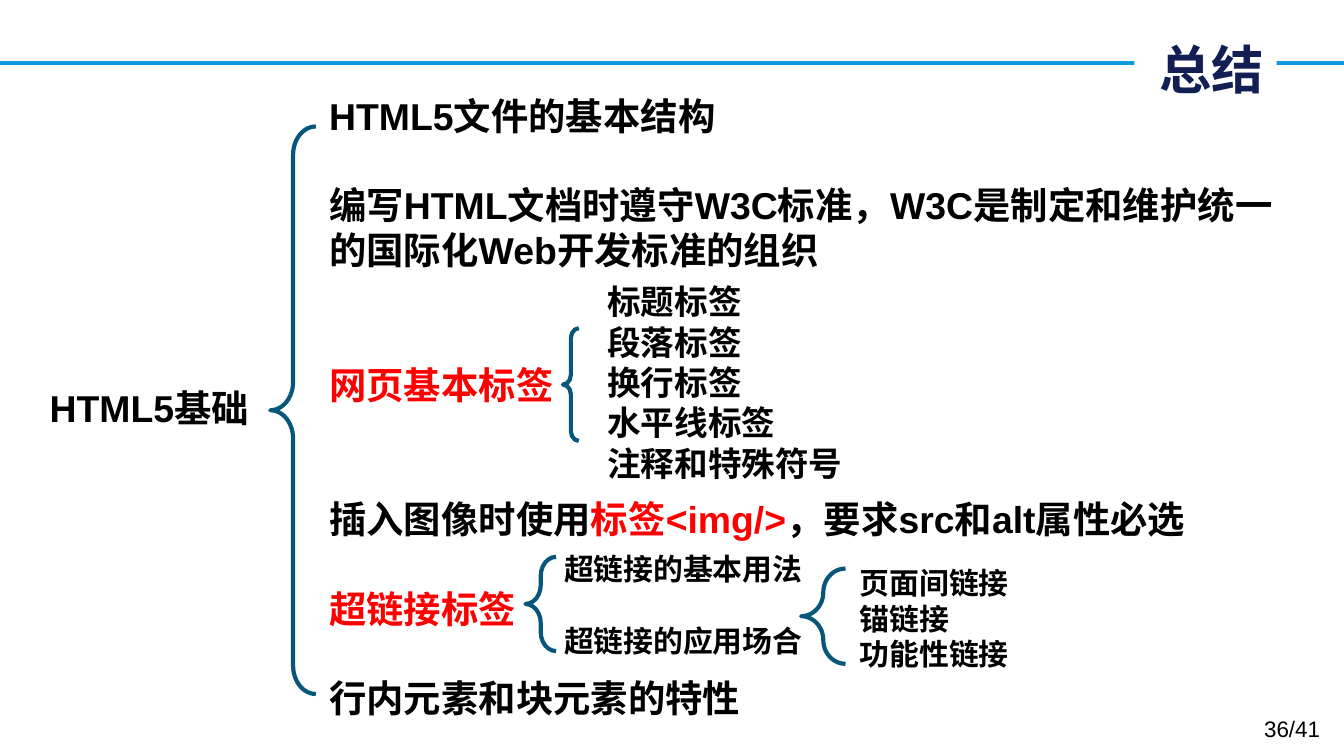
from pptx import Presentation
from pptx import util as u
from pptx.dml.color import RGBColor
from pptx.enum import shapes, text
from pptx.oxml.ns import qn
from lxml import etree

CJK = "Noto Sans CJK SC"
INK, RED, TEAL, NAVY = "000000", "FF0000", "08577A", "121F55"
LEFT, MID, RIGHT = text.PP_ALIGN.LEFT, text.PP_ALIGN.CENTER, text.PP_ALIGN.RIGHT


def rgb(code):
    return RGBColor.from_string(code)


def write(box, size, paras, align=LEFT, font="Arial", bold=True):
    area = slide.shapes.add_textbox(*[u.Cm(n) for n in box])
    frame = area.text_frame
    frame.word_wrap = True
    frame.vertical_anchor = text.MSO_ANCHOR.MIDDLE
    for i, (gap, runs) in enumerate(paras):
        para = frame.add_paragraph() if i else frame.paragraphs[0]
        para.alignment = align
        para.line_spacing = u.Pt(size * 1.2)
        para.space_before = u.Pt(size * 1.2 * gap)
        for words, tint in runs:
            run = para.add_run()
            run.text = words
            run.font.size = u.Pt(size)
            run.font.bold = bold
            run.font.name = font
            run.font.color.rgb = rgb(tint)
            east = etree.SubElement(run._r.get_or_add_rPr(), qn("a:ea"))
            east.set("typeface", CJK)
    return area


deck = Presentation()
deck.slide_width, deck.slide_height = u.Cm(25.4), u.Cm(14.28)
slide = deck.slides.add_slide(deck.slide_layouts[6])

rule = slide.shapes.add_connector(
    shapes.MSO_CONNECTOR.STRAIGHT, u.Cm(0), u.Cm(1.19), u.Cm(25.4), u.Cm(1.19))
rule.line.color.rgb = rgb("0E9CDE")
rule.line.width = u.Pt(2.25)
etree.SubElement(rule._element.spPr, qn("a:effectLst"))

title = write((21.44, 0.58, 2.69, 1.45), 28, [(0, [("总结", NAVY)])], RIGHT, CJK)
title.fill.solid()
title.fill.fore_color.rgb = rgb("FFFFFF")

write((5.97, 1.57, 18.34, 12.22), 20, [
    (0, [("HTML5文件的基本结构", INK)]),
    (1, [("编写HTML文档时遵守W3C标准，W3C是制定和维护统一的国际化Web开发标准的组织", INK)]),
    (2, [("网页基本标签", RED)]),
    (2, [("插入图像时使用", INK), ("标签<img/>", RED), ("，要求src和alt属性必选", INK)]),
    (1, [("超链接标签", RED)]),
    (1, [("行内元素和块元素的特性", INK)]),
])
write((0.3, 7.14, 5.05, 1.12), 20, [(0, [("HTML5基础", INK)])], MID)
write((10.41, 10.26, 5.79, 2.31), 16, [
    (0, [("超链接的基本用法", INK)]),
    (1, [("超链接的应用场合", INK)]),
])

tags = ["标题标签", "段落标签", "换行标签", "水平线标签", "注释和特殊符号"]
links = ["页面间链接", "锚链接", "功能性链接"]
write((11.23, 5.16, 5.64, 4.11), 18, [(0, [(tag, INK)]) for tag in tags], font=CJK)
write((16, 10.52, 5.64, 2.31), 16, [(0, [(link, INK)]) for link in links])

for box in [(5.11, 2.39, 0.86, 10.72), (10.64, 6.2, 0.3, 2.13),
            (9.93, 10.52, 0.58, 1.78), (15.14, 10.74, 0.84, 1.8)]:
    brace = slide.shapes.add_shape(
        shapes.MSO_SHAPE.LEFT_BRACE, *[u.Cm(n) for n in box])
    brace.adjustments[0] = 0.62
    brace.adjustments[1] = 0.5
    brace.shadow.inherit = False
    brace.fill.background()
    brace.line.color.rgb = rgb(TEAL)
    brace.line.width = u.Pt(2.25)

write((19.28, 13.39, 5.92, 0.76), 12, [(0, [("36/41", INK)])], RIGHT, bold=False)

deck.save("out.pptx")
